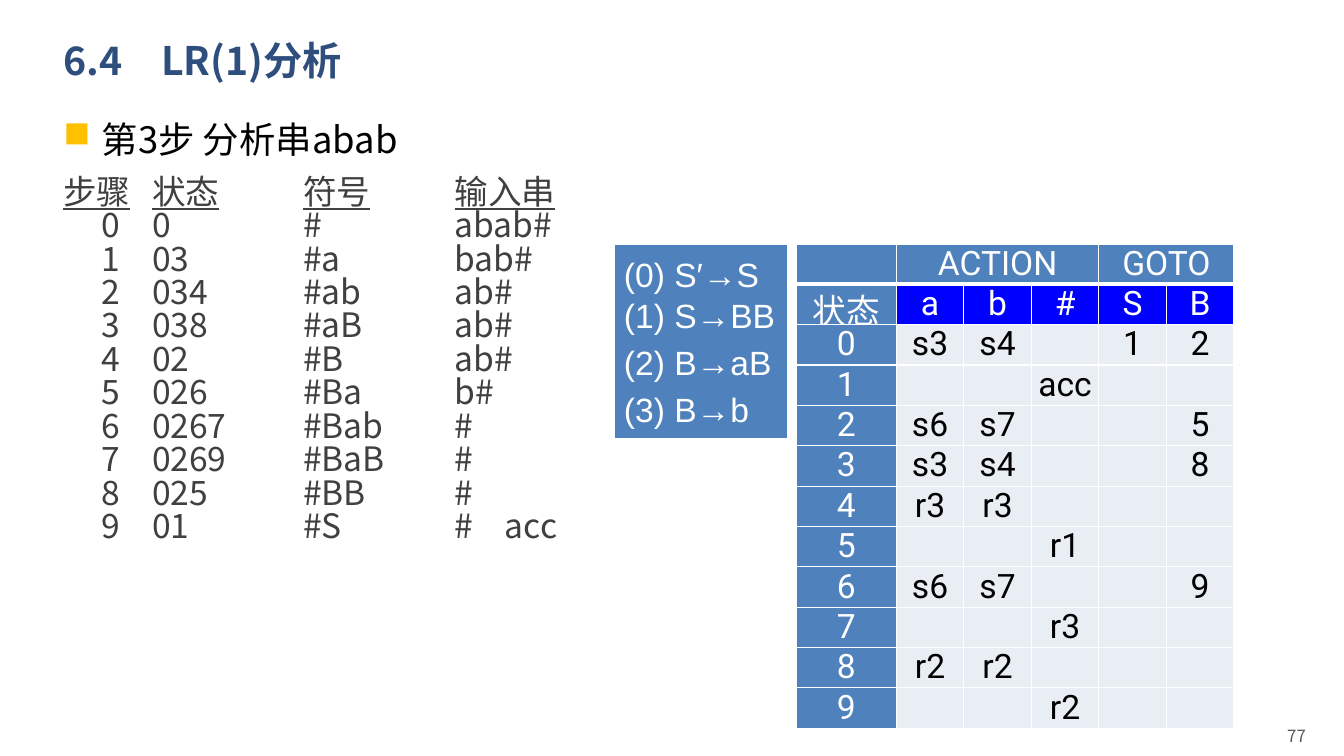
from dataclasses import dataclass

from lxml.etree import SubElement as Sub
from pptx import Presentation
from pptx.dml.color import RGBColor as Rgb
from pptx.enum.shapes import MSO_SHAPE as Kind
from pptx.enum.text import MSO_ANCHOR as Anchor, PP_ALIGN as Align
from pptx.oxml.ns import qn
from pptx.util import Pt

PX = 9144


@dataclass(frozen=True)
class Theme:
    blue: str = "4F81BD"
    vivid: str = "0000FF"
    pale: str = "E9EDF4"
    white: str = "FFFFFF"
    black: str = "000000"
    navy: str = "2E4E7E"
    gold: str = "FFC000"
    dark: str = "404040"
    gray: str = "595959"
    cjk: str = "Noto Sans CJK SC"
    arial: str = "Arial"
    grid: str = "Roboto"
    title: int = 28
    lead: int = 26
    main: int = 24
    small: int = 12


T = Theme()


@dataclass(frozen=True)
class Style:
    size: int
    color: str
    font: str = T.cjk
    bold: bool = False
    align: Align = Align.LEFT
    space: float = 1.0


@dataclass(frozen=True)
class Box:
    text: str
    left: int
    top: int
    width: int
    height: int
    style: Style
    anchor: Anchor = Anchor.TOP


TITLE = Box("6.4　LR(1)分析", 53, 28, 1150, 68,
            Style(T.title, T.navy, bold=True, space=0.9), Anchor.MIDDLE)
LEAD = Box("第3步 分析串abab", 53, 103, 467, 68,
           Style(T.lead, T.black, align=Align.JUSTIFY, space=1.2))
NUMBER = Box("77", 916, 710, 389, 40,
             Style(T.small, T.gray, align=Align.RIGHT), Anchor.MIDDLE)

TRACE = (
    ("0", "#", "abab#"),
    ("03", "#a", "bab#"),
    ("034", "#ab", "ab#"),
    ("038", "#aB", "ab#"),
    ("02", "#B", "ab#"),
    ("026", "#Ba", "b#"),
    ("0267", "#Bab", "#"),
    ("0269", "#BaB", "#"),
    ("025", "#BB", "#"),
    ("01", "#S", "#\tacc"),
)
HEAD = "步骤\t状态\t符号\t输入串"
STEPS = Box("\n".join([HEAD] + ["\t".join(("", str(n), *row))
                                for n, row in enumerate(TRACE)]),
            53, 168, 863, 526, Style(T.main, T.dark, space=0.83))
STOPS = (38, 88, 238, 388, 438)

RULES = Box("(0) S′→S\n(1) S→BB\n(2) B→aB\n(3) B→b", 609, 242, 173, 194,
            Style(T.main, T.white, T.arial), Anchor.MIDDLE)

GRID = (
    ("", "ACTION", "", "", "GOTO", ""),
    ("状态", "a", "b", "#", "S", "B"),
    ("0", "s3", "s4", "", "1", "2"),
    ("1", "", "", "acc", "", ""),
    ("2", "s6", "s7", "", "", "5"),
    ("3", "s3", "s4", "", "", "8"),
    ("4", "r3", "r3", "", "", ""),
    ("5", "", "", "r1", "", ""),
    ("6", "s6", "s7", "", "", "9"),
    ("7", "", "", "r3", "", ""),
    ("8", "r2", "r2", "", "", ""),
    ("9", "", "", "r2", "", ""),
)
COLS = (99, 67, 67, 67, 67, 67)
ROW = 37


def rgb(color: str) -> Rgb:
    return Rgb.from_string(color)


def paint(frame, style: Style) -> None:
    for para in frame.paragraphs:
        para.alignment = style.align
        if style.space != 1:
            para.line_spacing = style.space
        for run in para.runs:
            font = run.font
            font.size = Pt(style.size)
            font.bold = style.bold
            font.name = style.font
            font.color.rgb = rgb(style.color)
            Sub(run._r.get_or_add_rPr(), qn("a:ea"), typeface=T.cjk)


def fill(shape, box: Box):
    frame = shape.text_frame
    frame.word_wrap = True
    frame.vertical_anchor = box.anchor
    frame.text = box.text
    paint(frame, box.style)
    return frame


def place(box: Box) -> tuple[int, ...]:
    return tuple(n * PX for n in (box.left, box.top, box.width, box.height))


def write(slide, box: Box):
    return fill(slide.shapes.add_textbox(*place(box)), box)


def mark(para) -> None:
    props = para._p.get_or_add_pPr()
    props.set("marL", str(38 * PX))
    props.set("indent", str(-38 * PX))
    tint = Sub(props, qn("a:buClr"))
    Sub(tint, qn("a:srgbClr"), val=T.gold)
    Sub(props, qn("a:buChar"), char="■")


def trace(slide) -> None:
    frame = write(slide, STEPS)
    frame.margin_top = 8 * PX
    for para in frame.paragraphs:
        tabs = Sub(para._p.get_or_add_pPr(), qn("a:tabLst"))
        for stop in STOPS:
            Sub(tabs, qn("a:tab"), pos=str(stop * PX), algn="l")
    for run in frame.paragraphs[0].runs:
        run.font.underline = True


def rules(slide) -> None:
    shape = slide.shapes.add_shape(Kind.RECTANGLE, *place(RULES))
    shape.shadow.inherit = False
    shape.fill.solid()
    shape.fill.fore_color.rgb = rgb(T.blue)
    shape.line.color.rgb = rgb(T.white)
    shape.line.width = Pt(2)
    frame = fill(shape, RULES)
    frame.margin_right = 0
    for para in frame.paragraphs[2:]:
        para.space_before = Pt(4.8)


def edge(cell, row: int) -> None:
    props = cell._tc.get_or_add_tcPr()
    for side in "LRTB":
        thick = (row, side) in ((0, "B"), (1, "T"))
        line = Sub(props, qn("a:ln" + side), w=str(Pt(3 if thick else 1)))
        solid = Sub(line, qn("a:solidFill"))
        Sub(solid, qn("a:srgbClr"), val=T.white)


def grid(slide) -> None:
    table = slide.shapes.add_table(len(GRID), len(COLS), 790 * PX, 242 * PX,
                                   sum(COLS) * PX, ROW * len(GRID) * PX).table
    table.first_row = table.horz_banding = False
    for col, width in zip(table.columns, COLS):
        col.width = width * PX
    for r, texts in enumerate(GRID):
        table.rows[r].height = ROW * PX
        for c, text in enumerate(texts):
            cell = table.cell(r, c)
            head = r < 2 or c == 0
            cell.margin_left = cell.margin_right = (1 if head else 6) * PX
            cell.margin_top = cell.margin_bottom = 0
            edge(cell, r)
            cell.fill.solid()
            back = T.blue if r == 0 or c == 0 else T.vivid if r == 1 else T.pale
            cell.fill.fore_color.rgb = rgb(back)
            cell.text_frame.text = text
            paint(cell.text_frame, Style(T.main, T.white if head else T.black,
                                         T.grid, align=Align.CENTER))
    for start, end in ((1, 3), (4, 5)):
        table.cell(0, start).merge(table.cell(0, end))


def main() -> None:
    deck = Presentation()
    deck.slide_width, deck.slide_height = 1333 * PX, 750 * PX
    slide = deck.slides.add_slide(deck.slide_layouts[6])
    write(slide, TITLE)
    mark(write(slide, LEAD).paragraphs[0])
    write(slide, NUMBER)
    trace(slide)
    rules(slide)
    grid(slide)
    deck.save("out.pptx")


if __name__ == "__main__":
    main()
